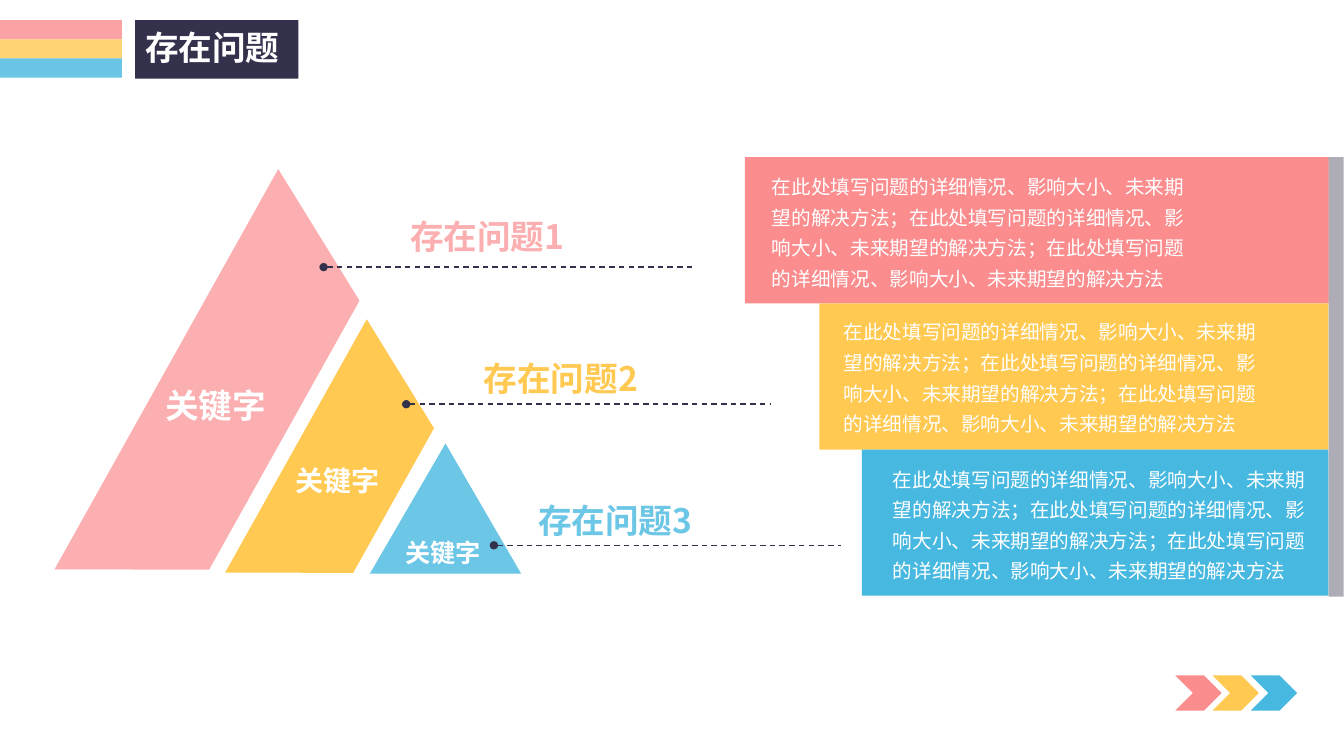
from lxml import etree
from pptx import Presentation
from pptx.dml.color import RGBColor
from pptx.enum.dml import MSO_LINE
from pptx.enum.shapes import MSO_CONNECTOR, MSO_SHAPE
from pptx.enum.text import MSO_ANCHOR, PP_ALIGN
from pptx.oxml.ns import qn
from pptx.util import Pt

PX = 9144
FONT = "Noto Sans CJK SC"
WHITE = RGBColor(0xFF, 0xFF, 0xFF)
NAVY = RGBColor(0x34, 0x31, 0x4C)
CORAL = RGBColor(0xFB, 0x8D, 0x8E)
PINK = RGBColor(0xFC, 0xAF, 0xB0)
YELLOW = RGBColor(0xFF, 0xC9, 0x52)
BLUE = RGBColor(0x47, 0xB8, 0xE0)
SKY = RGBColor(0x6C, 0xC6, 0xE6)

RECTANGLE = MSO_SHAPE.RECTANGLE
CHEVRON = MSO_SHAPE.CHEVRON
TRIANGLE = MSO_SHAPE.ISOSCELES_TRIANGLE
TRAPEZOID = MSO_SHAPE.TRAPEZOID
STRAIGHT = MSO_CONNECTOR.STRAIGHT
DASH = MSO_LINE.DASH
TOP = MSO_ANCHOR.TOP
MIDDLE = MSO_ANCHOR.MIDDLE
LEFT = PP_ALIGN.LEFT

DETAIL = "；".join(["在此处填写问题的详细情况、影响大小、未来期望的解决方法"] * 3)


class SlideBuilder:
    def __init__(self, slide, font):
        self.shapes = slide.shapes
        self.font = font

    def shape(self, kind, left, top, width, height, color, opacity=100, rotation=0):
        shape = self.shapes.add_shape(kind, left * PX, top * PX, width * PX, height * PX)
        shape.shadow.inherit = False
        shape.fill.solid()
        shape.fill.fore_color.rgb = color
        shape.line.fill.background()
        shape.rotation = rotation
        if opacity < 100:
            tint = shape._element.spPr.find(".//" + qn("a:srgbClr"))
            etree.SubElement(tint, qn("a:alpha"), val=str(opacity * 1000))
        return shape

    def fill_text(self, shape, text, size, color, bold=True, spacing=None, anchor=TOP):
        frame = shape.text_frame
        frame.word_wrap = True
        frame.vertical_anchor = anchor
        para = frame.paragraphs[0]
        para.text = text
        para.alignment = LEFT
        if spacing:
            para.line_spacing = spacing
        para.font.size = Pt(size)
        para.font.bold = bold
        para.font.color.rgb = color
        para.font.name = self.font
        properties = para._p.find(".//" + qn("a:defRPr"))
        etree.SubElement(properties, qn("a:ea"), typeface=self.font)

    def text(self, left, top, width, height, text, size, color, **style):
        box = self.shapes.add_textbox(left * PX, top * PX, width * PX, height * PX)
        self.fill_text(box, text, size, color, **style)

    def leader(self, start, end, y):
        connector = self.shapes.add_connector(STRAIGHT, start * PX, y * PX, end * PX, y * PX)
        connector.line.color.rgb = NAVY
        connector.line.width = Pt(1)
        connector.line.dash_style = DASH
        properties = connector._element.spPr
        etree.SubElement(properties.find(qn("a:ln")), qn("a:headEnd"), type="oval")
        etree.SubElement(properties, qn("a:effectLst"))


def main():
    deck = Presentation()
    deck.slide_width = 12192000
    deck.slide_height = 6858000
    page = SlideBuilder(deck.slides.add_slide(deck.slide_layouts[6]), FONT)

    for index, color in enumerate((CORAL, YELLOW, BLUE)):
        page.shape(RECTANGLE, 0, 20 + 19 * index, 121, 19, color, opacity=80)
        page.shape(CHEVRON, 1166 + 75 * index // 2, 670, 46, 35, color)

    title = page.shape(RECTANGLE, 134, 20, 162, 58, NAVY)
    page.fill_text(title, "存在问题", 24, WHITE, spacing=0.9, anchor=MIDDLE)

    page.shape(TRIANGLE, 367, 440, 150, 129, SKY)
    for left, top, width, height, color in (
        (198, 414, 288, 111, YELLOW),
        (-4, 332, 455, 134, PINK),
    ):
        slab = page.shape(TRAPEZOID, left, top, width, height, color, rotation=119.2)
        slab.adjustments[0] = 0.557

    for left, top, height, size in ((154, 377, 50, 24), (283, 455, 44, 20), (392, 528, 40, 18)):
        page.text(left, top, 147, height, "关键字", size, WHITE)

    for start, end, y in ((321, 690, 265), (403, 765, 401), (490, 834, 541)):
        page.leader(start, end, y)

    headings = ((397, 209, PINK), (470, 350, YELLOW), (524, 491, SKY))
    for number, (left, top, color) in enumerate(headings, 1):
        page.text(left, top, 360, 50, f"存在问题{number}", 24, color)

    panels = (
        (739, CORAL, 756, 162, 442),
        (813, YELLOW, 827, 306, 439),
        (855, BLUE, 876, 452, 443),
    )
    for index, (edge, color, left, top, width) in enumerate(panels):
        page.shape(RECTANGLE, edge, 156 + 145 * index, 1318 - edge, 145, color)
        page.text(left, top, width, 133, DETAIL, 14, WHITE, bold=False, spacing=1.3)
    page.shape(RECTANGLE, 1318, 156, 15, 436, NAVY, opacity=40)

    deck.save("out.pptx")


if __name__ == "__main__":
    main()
